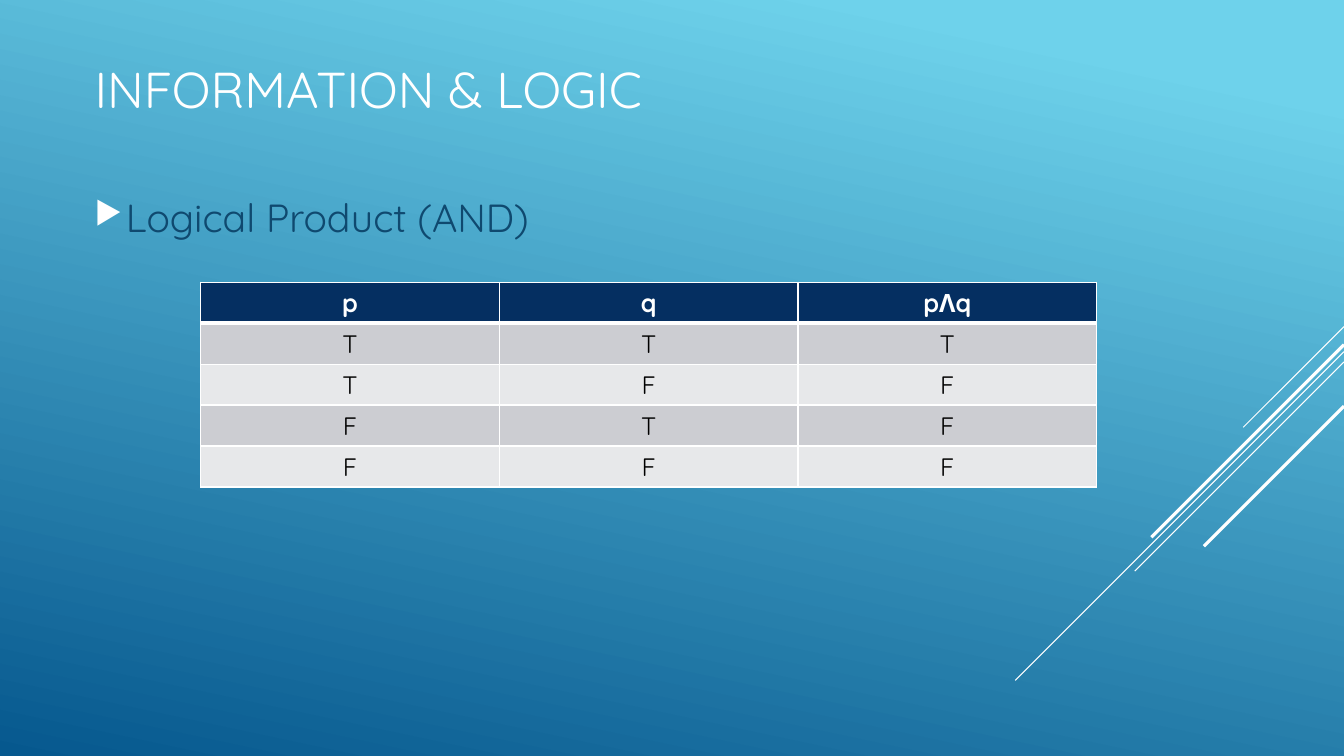
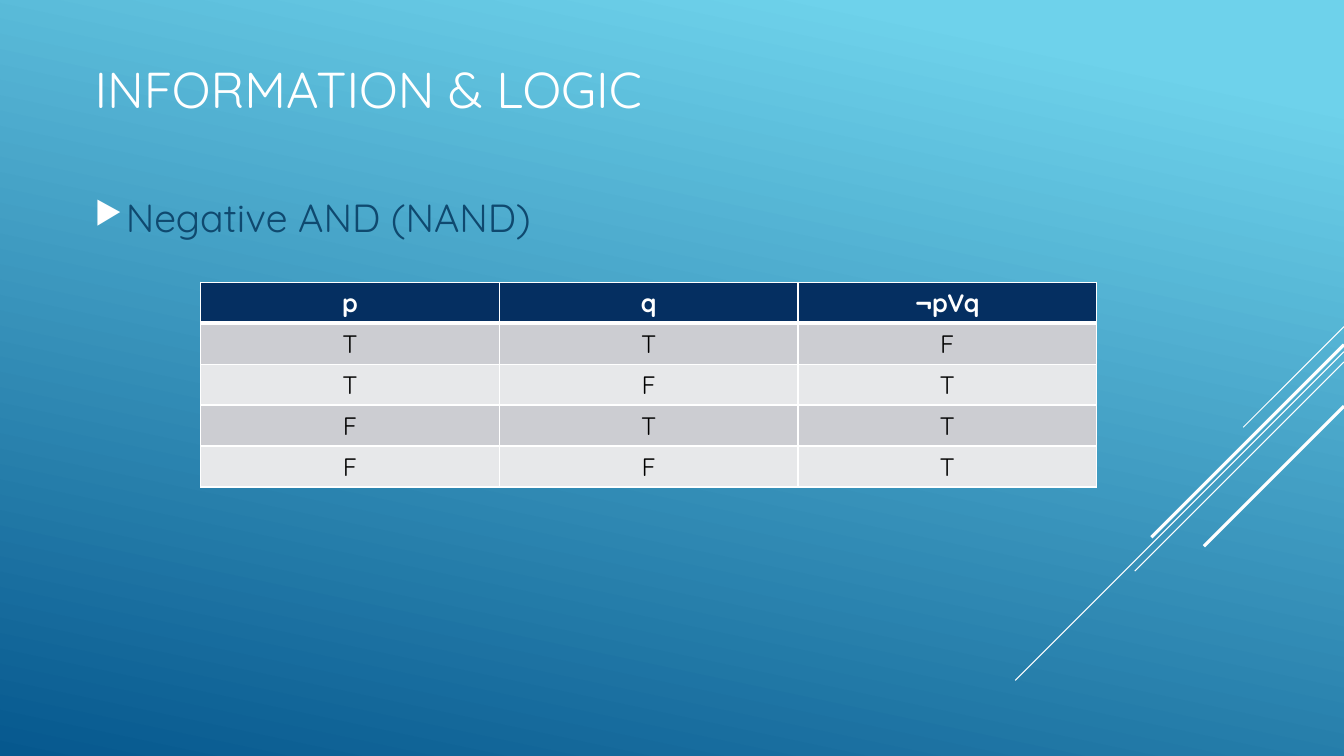
import dataclasses

import lxml.etree
import pptx
import pptx.dml.color
import pptx.enum.shapes
import pptx.enum.text
import pptx.oxml.ns
import pptx.util


@dataclasses.dataclass(frozen=True)
class Theme:
    font: str = "Quicksand"
    white: str = "FFFFFF"
    black: str = "000000"
    heading: str = "0F496F"
    header: str = "052F61"
    bands: tuple = ("CCCDD2", "E7E8EA")
    sky: tuple = ((0.1, "6ED2EB"), (1, "06588E"))
    title_size: int = 36
    heading_size: int = 28
    cell_size: int = 18
    thin: float = 0.75
    thick: float = 2.25
    rule: int = 1
    header_rule: int = 3


theme = Theme()
rgb = pptx.dml.color.RGBColor.from_string
qn = pptx.oxml.ns.qn
middle = pptx.enum.text.MSO_ANCHOR.MIDDLE
center = pptx.enum.text.PP_ALIGN.CENTER

prs = pptx.Presentation()
prs.slide_width = pptx.util.Inches(13.33)
prs.slide_height = pptx.util.Inches(7.5)
col = prs.slide_width / 100
row = prs.slide_height / 100

fill = prs.slide_master.background.fill
fill.gradient()
fill.gradient_angle = 360 - 102
for stop, (position, color) in zip(fill.gradient_stops, theme.sky):
    stop.position = position
    stop.color.rgb = rgb(color)

title = "INFORMATION & LOGIC"
inputs = ("TT", "TF", "FT", "FF")
topics = (
    ("Logical Product (AND)", "pΛq", "TFFF"),
    ("Negative AND (NAND)", "¬pVq", "FTTT"),
)
rays = (
    (43.2, 13.33, theme.thin),
    (46.53, 43.47, theme.thin),
    (47.87, 27.67, theme.thin),
    (45.6, 25.47, theme.thick),
    (53.73, 18.53, theme.thick),
)


def style(p, size, color, bold=False):
    for r in p.runs:
        r.font.name = theme.font
        r.font.size = pptx.util.Pt(size)
        r.font.color.rgb = rgb(color)
        r.font.bold = bold


def add_line(s, top, height, text, size, color):
    sp = s.shapes.add_textbox(int(6.3 * col), int(top * row), int(70 * col), int(height * row))
    tf = sp.text_frame
    tf.word_wrap = True
    tf.vertical_anchor = middle
    p = tf.paragraphs[0]
    p.text = text
    style(p, size, color)
    return p


for heading, formula, results in topics:
    s = prs.slides.add_slide(prs.slide_layouts[6])

    for top, drop, width in rays:
        line = s.shapes.add_connector(
            pptx.enum.shapes.MSO_CONNECTOR.STRAIGHT,
            prs.slide_width, int(top * row),
            int(prs.slide_width - drop * row), int((top + drop) * row))
        line.line.color.rgb = rgb(theme.white)
        line.line.width = pptx.util.Pt(width)
        lxml.etree.SubElement(line._element.spPr, qn("a:effectLst"))

    add_line(s, 6.8, 9.9, title, theme.title_size, theme.white)
    p = add_line(s, 24, 9.4, heading, theme.heading_size, theme.heading)
    pPr = p._p.get_or_add_pPr()
    indent = pptx.util.Inches(0.31)
    pPr.set("marL", str(indent))
    pPr.set("indent", str(-indent))
    bullet_color = lxml.etree.SubElement(pPr, qn("a:buClr"))
    lxml.etree.SubElement(bullet_color, qn("a:srgbClr"), val=theme.white)
    lxml.etree.SubElement(pPr, qn("a:buSzPct"), val="80000")
    lxml.etree.SubElement(pPr, qn("a:buChar"), char="▶")

    rows = [("p", "q", formula)] + [(*pair, out) for pair, out in zip(inputs, results)]
    table = s.shapes.add_table(
        len(rows), 3, int(14.93 * col), int(37.33 * row),
        int(66.67 * col), int(27.1 * row)).table
    for i, values in enumerate(rows):
        for j, value in enumerate(values):
            cell = table.cell(i, j)
            tcPr = cell._tc.get_or_add_tcPr()
            for side in "LRTB":
                heavy = (i, side) in ((0, "B"), (1, "T"))
                width = pptx.util.Pt(theme.header_rule if heavy else theme.rule)
                border = lxml.etree.SubElement(tcPr, qn("a:ln" + side), w=str(width))
                solid = lxml.etree.SubElement(border, qn("a:solidFill"))
                lxml.etree.SubElement(solid, qn("a:srgbClr"), val=theme.white)
            cell.fill.solid()
            cell.fill.fore_color.rgb = rgb(theme.bands[(i - 1) % 2] if i else theme.header)
            p = cell.text_frame.paragraphs[0]
            p.text = value
            p.alignment = center
            style(p, theme.cell_size, theme.black if i else theme.white, bold=i == 0)

prs.save("out.pptx")
